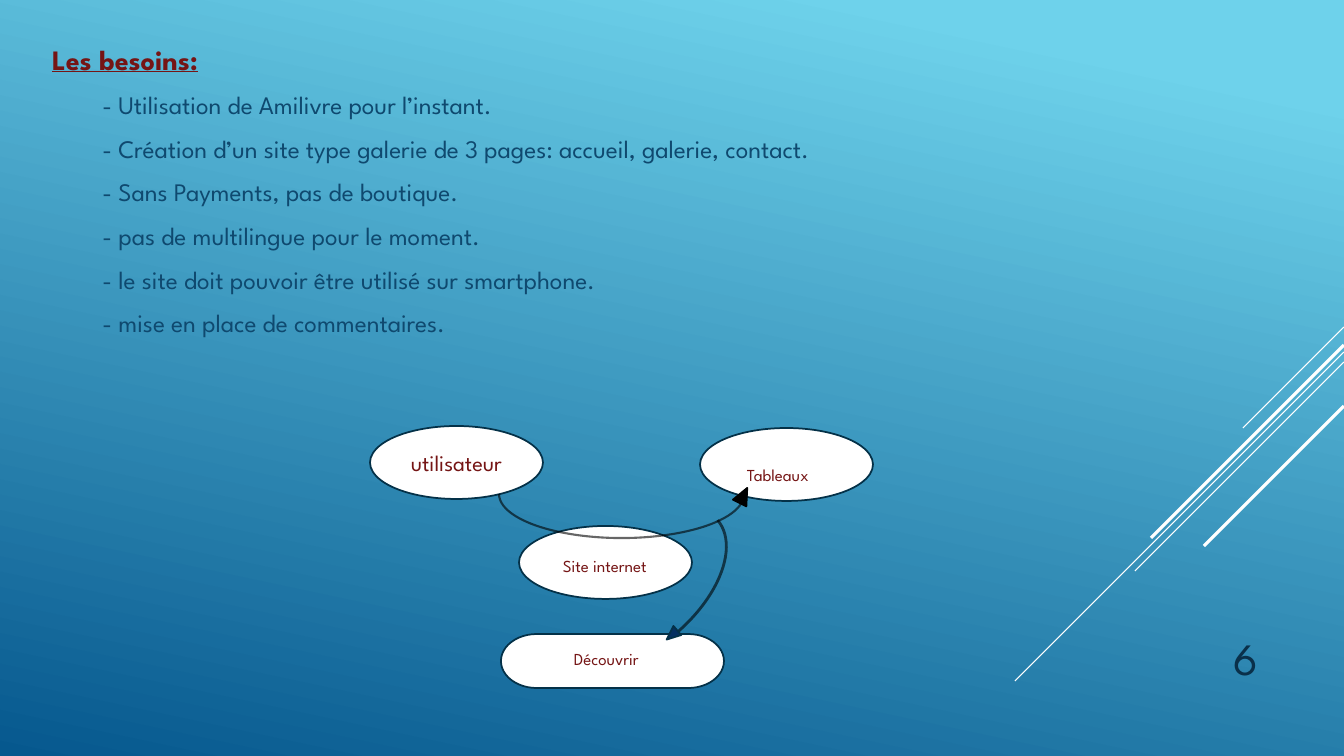
from lxml.etree import SubElement
from pptx import Presentation
from pptx.dml.color import RGBColor
from pptx.enum.shapes import MSO_CONNECTOR, MSO_SHAPE
from pptx.enum.text import MSO_ANCHOR, MSO_AUTO_SIZE, PP_ALIGN
from pptx.oxml.ns import qn
from pptx.util import Emu, Pt

EMU_PER_PX = 914400 / 100.8
FONT = "League Spartan"
WHITE = RGBColor(0xFF, 0xFF, 0xFF)
BLACK = RGBColor(0x00, 0x00, 0x00)
SKY = RGBColor(0x6E, 0xD2, 0xEB)
OCEAN = RGBColor(0x06, 0x58, 0x8E)
MAROON = RGBColor(0x75, 0x15, 0x15)
BODY_BLUE = RGBColor(0x0F, 0x49, 0x6F)
NUMBER_BLUE = RGBColor(0x0A, 0x30, 0x4A)
OUTLINE = RGBColor(0x04, 0x31, 0x48)
NAVY = RGBColor(0x05, 0x2F, 0x61)

HEADING = "Les besoins:"
NEEDS = [
    "- Utilisation de Amilivre pour l’instant.",
    "- Création d’un site type galerie de 3 pages: accueil, galerie, contact.",
    "- Sans Payments, pas de boutique.",
    "- pas de multilingue pour le moment.",
    "- le site doit pouvoir être utilisé sur smartphone.",
    "- mise en place de commentaires.",
]


def px(length):
    return Emu(round(length * EMU_PER_PX))


def px_box(box):
    return [px(length) for length in box]


def style_text(para, size, color, bold=False):
    for span in para.runs:
        span.font.name = FONT
        span.font.size = Pt(size)
        span.font.color.rgb = color
        span.font.bold = bold


def paint_background(slide):
    fill = slide.background.fill
    fill.gradient()
    fill.gradient_angle = 258
    for stop, position, color in zip(fill.gradient_stops, (0.1, 1), (SKY, OCEAN)):
        stop.position = position
        stop.color.rgb = color


def add_stripes(slide, box):
    """Draw the diagonal stripes that rise to the right edge of the box."""
    left, top, width, height = box
    right = left + width
    for drop, run, weight in [(0, 101, 0.75), (25, 329, 0.75), (35, 209, 0.75),
                              (18, 193, 2.25), (79, 140, 2.25)]:
        start = top + drop
        stripe = slide.shapes.add_connector(
            MSO_CONNECTOR.STRAIGHT,
            *px_box((right, start, right - run, start + run)))
        stripe.line.color.rgb = WHITE
        stripe.line.width = Pt(weight)
        SubElement(stripe._element.spPr, qn("a:effectLst"))


def add_needs(slide, box):
    """Fill the body placeholder with the heading and the list of needs."""
    body = slide.placeholders[1]
    body.left, body.top, body.width, body.height = px_box(box)
    frame = body.text_frame
    frame.text = "\n".join([HEADING, *NEEDS])
    frame.auto_size = MSO_AUTO_SIZE.NONE
    frame.vertical_anchor = MSO_ANCHOR.MIDDLE
    for index, para in enumerate(frame.paragraphs):
        is_heading = index == 0
        size = 20 if is_heading else 18
        para.level = 0 if is_heading else 1
        para.line_spacing = Pt(size * 1.2)
        para.space_before = Pt(size * 0.2)
        para.space_after = Pt(6)
        style_text(para, size, MAROON if is_heading else BODY_BLUE, is_heading)
        properties = para._p.get_or_add_pPr()
        properties.set("marL", "0" if is_heading else "457200")
        properties.set("indent", "0")
        SubElement(properties, qn("a:buNone"))
    frame.paragraphs[0].runs[0].font.underline = True


def add_figure(slide, kind, box, fill, line, weight=1.25, rotation=0):
    figure = slide.shapes.add_shape(kind, *px_box(box))
    figure.shadow.inherit = False
    figure.rotation = rotation
    if fill is None:
        figure.fill.background()
    else:
        figure.fill.solid()
        figure.fill.fore_color.rgb = fill
    figure.line.color.rgb = line
    figure.line.width = Pt(weight)
    return figure


def add_arc(slide, box, weight, rotation):
    arc = add_figure(slide, MSO_SHAPE.ARC, box, None, BLACK, weight, rotation)
    color = arc.line._ln.find(qn("a:solidFill"))[0]
    SubElement(color, qn("a:alpha"), val="60000")
    return arc


def add_label(slide, text, box, size=12, color=MAROON):
    label = slide.shapes.add_textbox(*px_box(box))
    frame = label.text_frame
    frame.word_wrap = True
    frame.text = text
    style_text(frame.paragraphs[0], size, color)
    return frame


def add_site_diagram(slide, box):
    """Draw the path from the user to the paintings and the site."""
    left, top, _, _ = box

    def place(x, y, width, height):
        return left + x, top + y, width, height

    ovals = [add_figure(slide, MSO_SHAPE.OVAL, place(x, y, 173, 73), WHITE, OUTLINE)
             for x, y in [(0, 0), (330, 2), (149, 100)]]
    frame = ovals[0].text_frame
    frame.text = "utilisateur"
    frame.vertical_anchor = MSO_ANCHOR.MIDDLE
    frame.paragraphs[0].alignment = PP_ALIGN.CENTER
    style_text(frame.paragraphs[0], 16, MAROON)
    add_figure(slide, MSO_SHAPE.FLOWCHART_TERMINATOR, place(131, 208, 223, 54),
               WHITE, OUTLINE)

    for text, x, y, width in [("Site internet", 183, 125, 233),
                              ("Découvrir", 194, 218, 271),
                              ("Tableaux", 367, 34, 226)]:
        add_label(slide, text, place(x, y, width, 30))

    user_arc = add_arc(slide, place(129, 24, 245, 88), 1.5, 180)
    user_arc.adjustments[0] = 107.23
    user_arc.adjustments[1] = 0
    add_figure(slide, MSO_SHAPE.ISOSCELES_TRIANGLE, place(366, 61, 15, 17),
               BLACK, BLACK, rotation=26.7)
    add_arc(slide, place(208, 57, 119, 210), 2, 49.7)
    add_figure(slide, MSO_SHAPE.ISOSCELES_TRIANGLE, place(296, 202, 12, 14),
               NAVY, OUTLINE, rotation=229.5)


def add_page_number(slide, box):
    frame = add_label(slide, "6", box, 32, NUMBER_BLUE)
    frame.vertical_anchor = MSO_ANCHOR.BOTTOM
    frame.paragraphs[0].alignment = PP_ALIGN.RIGHT


def build_needs_slide(deck):
    slide = deck.slides.add_slide(deck.slide_layouts[1])
    title = slide.shapes.title._element
    title.getparent().remove(title)
    paint_background(slide)
    add_stripes(slide, (1015, 327, 329, 353))
    add_needs(slide, (42, 13, 940, 354))
    add_site_diagram(slide, (370, 426, 503, 262))
    add_page_number(slide, (1142, 615, 126, 74))


def main():
    deck = Presentation()
    deck.slide_width, deck.slide_height = px(1344), px(756)
    build_needs_slide(deck)
    deck.save("out.pptx")


if __name__ == "__main__":
    main()
